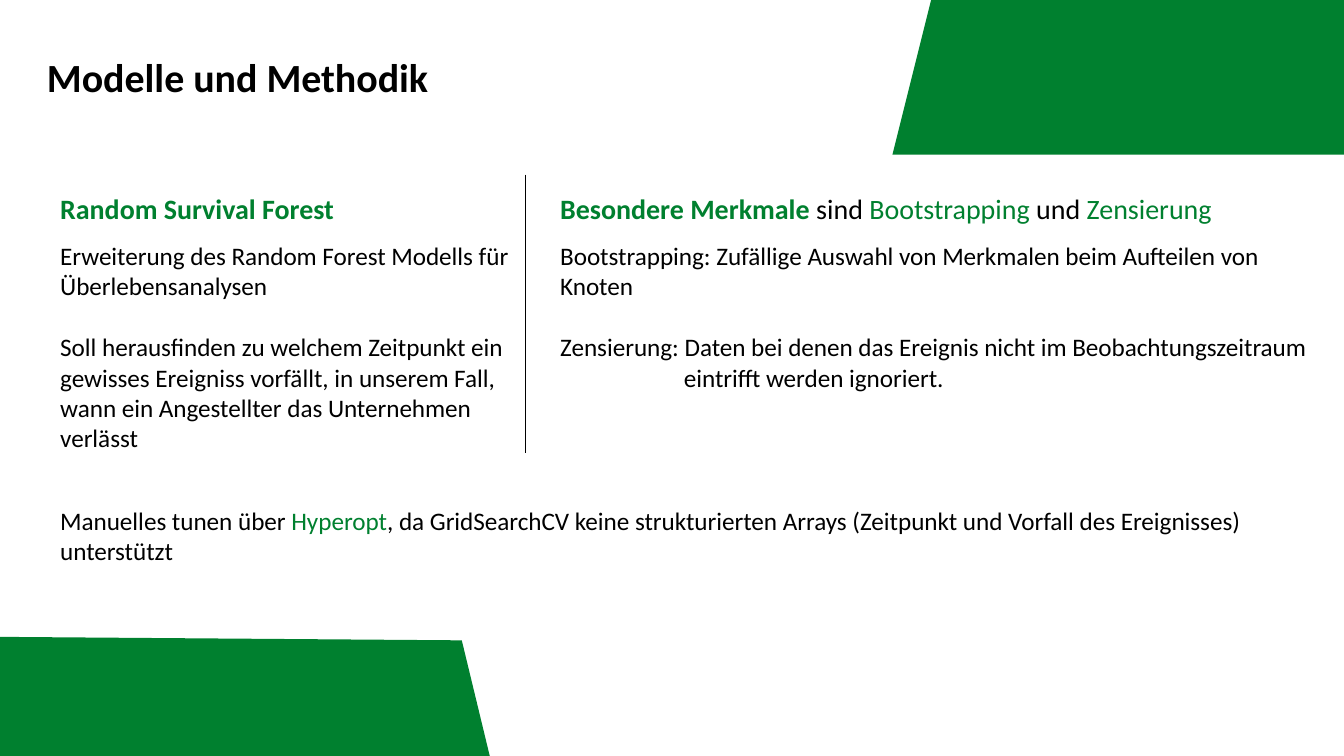
from pptx import Presentation
from pptx.dml.color import RGBColor
from pptx.enum.shapes import MSO_CONNECTOR, MSO_SHAPE
from pptx.oxml.ns import qn
from pptx.util import Inches, Pt
from lxml import etree

STRAIGHT = MSO_CONNECTOR.STRAIGHT
PARALLELOGRAM = MSO_SHAPE.PARALLELOGRAM

theme = {
    "font": "Calibri",
    "ink": RGBColor(0x00, 0x00, 0x00),
    "accent": RGBColor(0x00, 0x80, 0x2F),
    "title": Pt(21.4), "heading": Pt(15), "body": Pt(13.5),
    "blank_line": Pt(16.5), "rule": Pt(0.5),
}

# Widescreen page, 16 to 9
deck = Presentation()
deck.slide_width = Inches(10)
deck.slide_height = deck.slide_width * 9 // 16
page = deck.slides.add_slide(deck.slide_layouts[6])

# Grid of 100 columns with square rows
UNIT = deck.slide_width // 100
LEFT, RIGHT = 3.5, 40.7
HEADING_ROW, BODY_ROW = 13.75, 17.4


def grid(*counts):
    return [round(count * UNIT) for count in counts]


def write(place, size, paragraphs):
    """Each paragraph is a list of (text, colour name, bold)."""
    box = page.shapes.add_textbox(*grid(*place))
    frame = box.text_frame
    frame.word_wrap = True
    for index, spans in enumerate(paragraphs):
        para = frame.paragraphs[0] if index == 0 else frame.add_paragraph()
        for text, colour, bold in spans:
            span = para.add_run()
            span.text = text
            span.font.name, span.font.size = theme["font"], theme[size]
            span.font.bold, span.font.color.rgb = bold, theme[colour]
    return frame


# Title
title = write((LEFT, 4.3, 32.7, 3.7), "title",
              [[("Modelle und Methodik", "ink", True)]])
title.margin_left = title.margin_right = title.margin_top = title.margin_bottom = 0
title.paragraphs[0].line_spacing = 0.9

# Divider between the columns
divider = page.shapes.add_connector(STRAIGHT, *grid(39.1, 13, 39.1, 33.7))
divider.line.color.rgb = theme["ink"]
divider.line.width = theme["rule"]
etree.SubElement(divider._element.spPr, qn("a:effectLst"))

# Left column
write((LEFT, HEADING_ROW, 36.6, 3.5), "heading",
      [[("Random Survival Forest", "accent", True)]])
model = write((LEFT, BODY_ROW, 35.6, 21.5), "body", [
    [("Erweiterung des Random Forest Modells für Überlebensanalysen", "ink", False)],
    [("Soll herausfinden zu welchem Zeitpunkt ein gewisses Ereigniss vorfällt, "
      "in unserem Fall, wann ein Angestellter das Unternehmen verlässt", "ink", False)],
])
model.paragraphs[1].space_before = theme["blank_line"]

# Right column
write((RIGHT, HEADING_ROW, 53.6, 3.5), "heading", [[
    ("Besondere Merkmale", "accent", True), (" sind ", "ink", False),
    ("Bootstrapping", "accent", False), (" und ", "ink", False),
    ("Zensierung", "accent", False),
]])
write((RIGHT, BODY_ROW, 55.3, 5.6), "body", [
    [("Bootstrapping: Zufällige Auswahl von Merkmalen beim Aufteilen von", "ink", False)],
    [("Knoten", "ink", False)],
])
censoring = write((RIGHT, 24.2, 58.9, 5.6), "body", [
    [("Zensierung: Daten bei denen das Ereignis nicht im Beobachtungszeitraum",
      "ink", False)],
    [("eintrifft werden ignoriert.", "ink", False)],
])
indent = grid(9.2)[0]
censoring.paragraphs[1]._p.get_or_add_pPr().set("marL", str(indent))

# Note on tuning
write((LEFT, 37.1, 92.6, 5.6), "body", [
    [("Manuelles tunen über ", "ink", False), ("Hyperopt", "accent", False),
     (", da GridSearchCV keine strukturierten Arrays "
      "(Zeitpunkt und Vorfall des Ereignisses)", "ink", False)],
    [("unterstützt", "ink", False)],
])

# Green corners, running over the page edge
corners = [
    ((-40.7, 56.2, 102.4, 65.9), 76.4),
    ((66.4, -33.3, 59.3, 44.8), 180),
]
for place, turn in corners:
    corner = page.shapes.add_shape(PARALLELOGRAM, *grid(*place))
    corner.rotation = turn
    corner.shadow.inherit = False
    corner.fill.solid()
    corner.fill.fore_color.rgb = theme["accent"]
    corner.line.fill.background()

deck.save("out.pptx")
